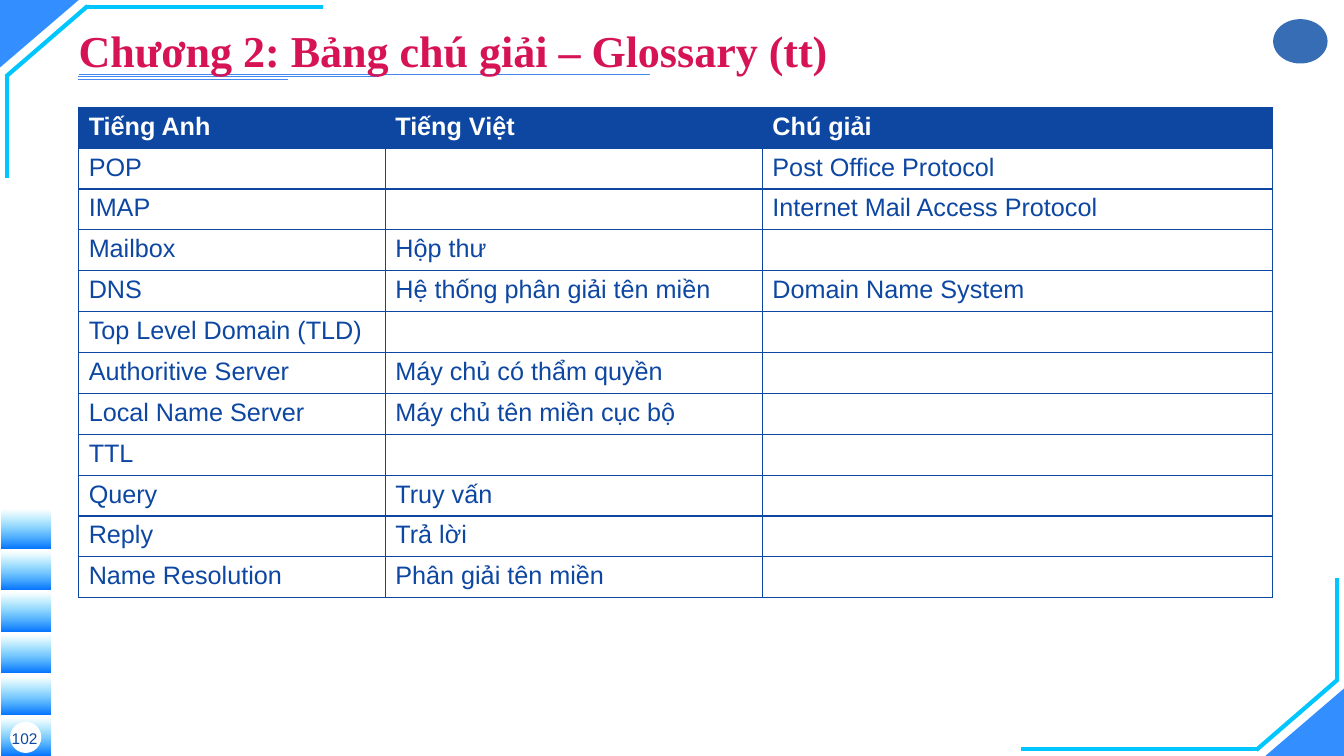
"""Build the glossary slide for chapter 2, with its corner frames and term table."""
from dataclasses import dataclass

from lxml import etree
from pptx import Presentation
from pptx.dml.color import RGBColor
from pptx.enum.shapes import MSO_CONNECTOR, MSO_SHAPE
from pptx.enum.text import MSO_ANCHOR, MSO_AUTO_SIZE, PP_ALIGN
from pptx.oxml.ns import qn
from pptx.util import Pt

STRAIGHT = MSO_CONNECTOR.STRAIGHT
TRIANGLE, RECTANGLE, OVAL = MSO_SHAPE.ISOSCELES_TRIANGLE, MSO_SHAPE.RECTANGLE, MSO_SHAPE.OVAL
MIDDLE, NO_AUTOFIT = MSO_ANCHOR.MIDDLE, MSO_AUTO_SIZE.NONE
LEFT, CENTER = PP_ALIGN.LEFT, PP_ALIGN.CENTER

TITLE = "Chương 2: Bảng chú giải – Glossary (tt)"
PAGE_NUMBER = "102"
GLOSSARY = [
    ("Tiếng Anh", "Tiếng Việt", "Chú giải"),
    ("POP", "", "Post Office Protocol"),
    ("IMAP", "", "Internet Mail Access Protocol"),
    ("Mailbox", "Hộp thư", ""),
    ("DNS", "Hệ thống phân giải tên miền", "Domain Name System"),
    ("Top Level Domain (TLD)", "", ""),
    ("Authoritive Server", "Máy chủ có thẩm quyền", ""),
    ("Local Name Server", "Máy chủ tên miền cục bộ", ""),
    ("TTL", "", ""),
    ("Query", "Truy vấn", ""),
    ("Reply", "Trả lời", ""),
    ("Name Resolution", "Phân giải tên miền", ""),
]


@dataclass(frozen=True)
class Theme:
    """Colours, fonts and type sizes of the slide."""
    navy: str = "0D47A1"
    white: str = "FFFFFF"
    crimson: str = "D61355"
    blue: str = "0072FF"
    cyan: str = "00C6FF"
    rule: str = "4488F0"
    emblem: str = "376DB5"
    body_font: str = "Arial"
    title_font: str = "Times New Roman"
    title_size: float = 31.5
    cell_size: float = 18
    number_size: float = 11


THEME = Theme()
WIDTH, HEIGHT = 960, 540
CORNER_WIDTH, CORNER_HEIGHT = 56.2, 48.2
FRAME = [(230.4, 5, 61.2, 5), (62.6, 4.3, 4.3, 54.7), (5, 127.4, 5, 53.3)]
UNDERLINES = [(56.2, 52.7, 464.4, 52.7), (55.6, 54.7, 270.7, 54.7), (55.6, 56.7, 205.9, 56.7)]
BAR_COUNT, BAR_LEFT, BAR_WIDTH, BAR_HEIGHT, BAR_STEP = 6, 1.2, 34.6, 27.4, 29.7
TABLE_LEFT, TABLE_TOP, ROW_HEIGHT = 56.2, 76.6, 29.22
COLUMN_WIDTHS = (219, 269.4, 364.2)

TITLE_FORMAT = {"name": THEME.title_font, "size": Pt(THEME.title_size), "bold": True}
NUMBER_FORMAT = {"name": THEME.body_font, "size": Pt(THEME.number_size), "bold": False}
CELL_FORMAT = {"name": THEME.body_font, "size": Pt(THEME.cell_size), "bold": False}
HEADER_FORMAT = CELL_FORMAT | {"bold": True}


def apply_format(target, values):
    for attribute, value in values.items():
        setattr(target, attribute, value)


def write(frame, text, font_format, color, align=LEFT):
    paragraph = frame.paragraphs[0]
    paragraph.alignment = align
    if text:
        run = paragraph.add_run()
        run.text = text
        apply_format(run.font, font_format)
        run.font.color.rgb = RGBColor.from_string(color)
    return paragraph


def add_line(shapes, ends, color, weight):
    line = shapes.add_connector(STRAIGHT, *map(Pt, ends))
    line.line.color.rgb = RGBColor.from_string(color)
    line.line.width = Pt(weight)
    etree.SubElement(line.element.spPr, qn("a:effectLst"))


def add_plain(shapes, preset, box, color):
    shape = shapes.add_shape(preset, *map(Pt, box))
    shape.shadow.inherit = False
    shape.line.fill.background()
    shape.fill.solid()
    shape.fill.fore_color.rgb = RGBColor.from_string(color)
    return shape


def set_opacity(shape, percent):
    color = shape.element.spPr.findall(".//" + qn("a:srgbClr"))[-1]
    etree.SubElement(color, qn("a:alpha"), val=str(percent * 1000))


def add_corners(shapes):
    for left, top, rotation in ((0, 0, 180), (WIDTH - CORNER_WIDTH, HEIGHT - CORNER_HEIGHT, 0)):
        corner = add_plain(shapes, TRIANGLE, (left, top, CORNER_WIDTH, CORNER_HEIGHT), THEME.blue)
        corner.adjustments[0] = 1
        corner.rotation = rotation
        set_opacity(corner, 80)
    for x1, y1, x2, y2 in FRAME:
        add_line(shapes, (x1, y1, x2, y2), THEME.cyan, 3)
        add_line(shapes, (WIDTH - x1, HEIGHT - y1, WIDTH - x2, HEIGHT - y2), THEME.cyan, 3)


def add_bars(shapes):
    first_top = HEIGHT - BAR_HEIGHT - (BAR_COUNT - 1) * BAR_STEP
    for index in range(BAR_COUNT):
        box = (BAR_LEFT, first_top + index * BAR_STEP, BAR_WIDTH, BAR_HEIGHT)
        bar = add_plain(shapes, RECTANGLE, box, THEME.blue)
        bar.fill.gradient()
        bar.fill.gradient_angle = 90
        for stop, color in zip(bar.fill.gradient_stops, (THEME.blue, THEME.cyan)):
            stop.color.rgb = RGBColor.from_string(color)
        set_opacity(bar, 0)


def add_page_number(shapes):
    add_plain(shapes, OVAL, (7.2, 515.5, 22.3, 22.3), THEME.white)
    number = shapes.add_textbox(Pt(-20.9), Pt(516.2), Pt(77), Pt(22.3))
    apply_format(number.text_frame, {"word_wrap": True, "vertical_anchor": MIDDLE})
    write(number.text_frame, PAGE_NUMBER, NUMBER_FORMAT, THEME.navy, CENTER)


def place_title(title):
    apply_format(title, {"left": Pt(56.2), "top": Pt(13.7), "width": Pt(837.4), "height": Pt(36.7)})
    apply_format(title.text_frame, {
        "word_wrap": True, "auto_size": NO_AUTOFIT, "vertical_anchor": MIDDLE,
        "margin_left": 0, "margin_right": Pt(7.2), "margin_top": Pt(3.6), "margin_bottom": Pt(3.6)})
    paragraph = write(title.text_frame, TITLE, TITLE_FORMAT, THEME.crimson)
    apply_format(paragraph, {"line_spacing": 1.2, "space_after": Pt(2)})
    title.element.getparent().append(title.element)


def add_borders(cell):
    properties = cell._tc.get_or_add_tcPr()
    for side in ("a:lnL", "a:lnR", "a:lnT", "a:lnB"):
        border = etree.SubElement(properties, qn(side), w=str(Pt(1)))
        fill = etree.SubElement(border, qn("a:solidFill"))
        etree.SubElement(fill, qn("a:srgbClr"), val=THEME.navy)


def add_glossary(shapes):
    table = shapes.add_table(
        len(GLOSSARY), len(COLUMN_WIDTHS), Pt(TABLE_LEFT), Pt(TABLE_TOP),
        Pt(sum(COLUMN_WIDTHS)), Pt(ROW_HEIGHT * len(GLOSSARY))).table
    table.horz_banding = False
    for column, width in zip(table.columns, COLUMN_WIDTHS):
        column.width = Pt(width)
    for row_index, (row, entries) in enumerate(zip(table.rows, GLOSSARY)):
        row.height = Pt(ROW_HEIGHT)
        is_header = row_index == 0
        for cell, entry in zip(row.cells, entries):
            add_borders(cell)
            if is_header:
                cell.fill.solid()
                cell.fill.fore_color.rgb = RGBColor.from_string(THEME.navy)
                write(cell.text_frame, entry, HEADER_FORMAT, THEME.white)
            else:
                cell.fill.background()
                write(cell.text_frame, entry, CELL_FORMAT, THEME.navy)


def main():
    presentation = Presentation()
    apply_format(presentation, {"slide_width": Pt(WIDTH), "slide_height": Pt(HEIGHT)})
    slide = presentation.slides.add_slide(presentation.slide_layouts[5])
    shapes = slide.shapes
    add_corners(shapes)
    add_bars(shapes)
    add_plain(shapes, OVAL, (909.4, 13.7, 38.9, 31.7), THEME.emblem)
    add_page_number(shapes)
    for ends in UNDERLINES:
        add_line(shapes, ends, THEME.rule, 0.25)
    place_title(shapes.title)
    add_glossary(shapes)
    presentation.save("out.pptx")


if __name__ == "__main__":
    main()
